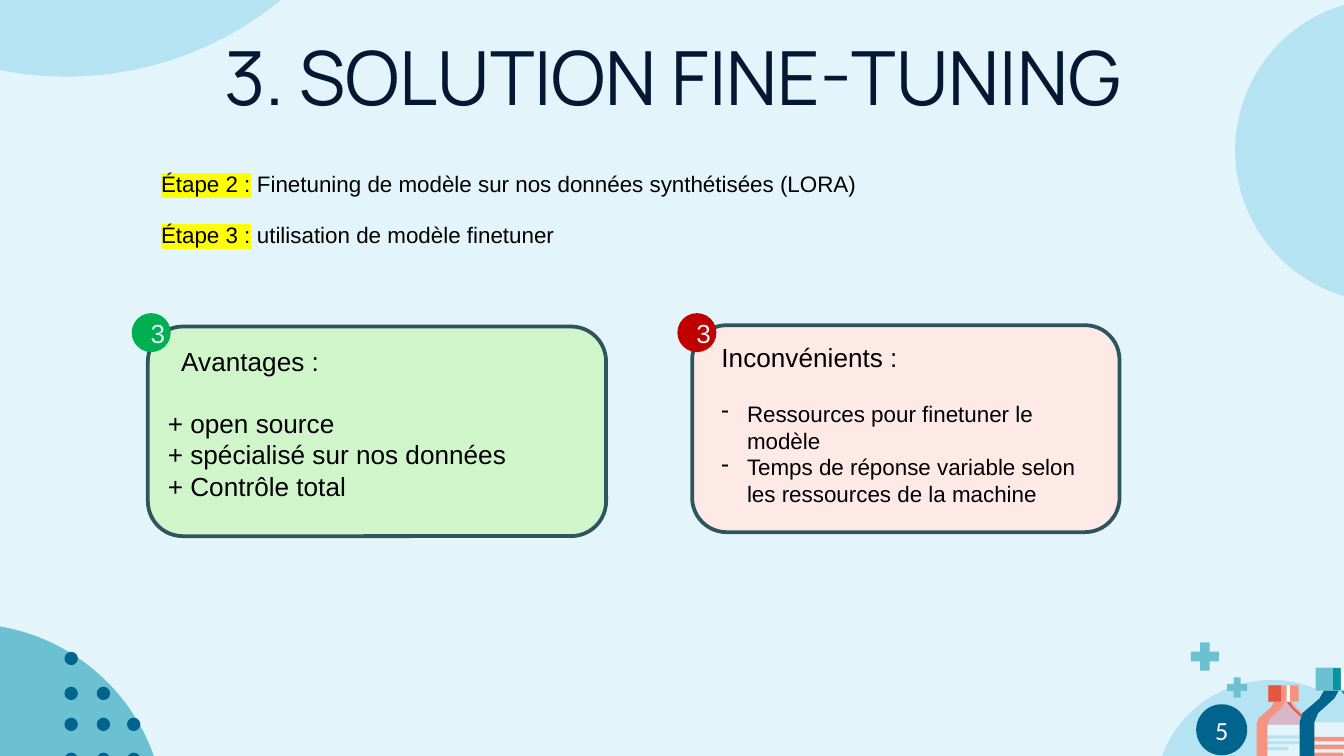
from lxml import etree
from pptx import Presentation
from pptx.dml.color import RGBColor
from pptx.enum import shapes, text
from pptx.oxml import ns
from pptx.util import Inches, Pt

# The grid has 100 columns; one cell is a tenth of an inch, also in height
CELL = Inches(0.1)
KIND = shapes.MSO_SHAPE
HUE = {
    "back": "E3F4FA", "sky": "B6E3F1", "teal": "6BC1D1", "deep": "0596A2",
    "blue": "00648F", "navy": "041834", "cream": "FCFBF7", "black": "000000",
    "white": "FFFFFF", "mauve": "D6B6C8", "coral": "F69380", "brick": "E2583E",
    "edge": "2F555C", "mint": "D0F5CB", "rose": "FDE9E6", "green": "00B050",
    "red": "C00000", "mark": "FFFF00",
}


def tint(name):
    return RGBColor.from_string(HUE[name])


def cells(*nums):
    return [round(n * CELL) for n in nums]


def within(box, x, y, w, h):
    """Turn shares of a box into grid cells."""
    left, top, wide, high = box
    return left + x * wide, top + y * high, w * wide, h * high


def paint(shape, fill, edge=None):
    shape.shadow.inherit = False
    shape.fill.solid()
    shape.fill.fore_color.rgb = tint(fill)
    if edge:
        shape.line.color.rgb = tint(edge)
        shape.line.width = Pt(2)
    else:
        shape.line.fill.background()
    return shape


def draw(slide, kind, box, fill, edge=None):
    return paint(slide.shapes.add_shape(kind, *cells(*box)), fill, edge)


def trace(slide, box, dots, fill):
    """Draw a closed outline whose points are shares of the box."""
    spots = [cells(*within(box, x, y, 0, 0)[:2]) for x, y in dots]
    pen = slide.shapes.build_freeform(*spots[0], scale=1.0)
    pen.add_line_segments(spots[1:], close=True)
    paint(pen.convert_to_shape(), fill)


def write(para, words, size, font="Arial", hue="black", mark=None):
    run = para.add_run()
    run.text = words
    run.font.size = Pt(size)
    run.font.color.rgb = tint(hue)
    if mark:
        light = etree.Element(ns.qn("a:highlight"))
        etree.SubElement(light, ns.qn("a:srgbClr"), val=HUE[mark])
        run.font._element.find(ns.qn("a:solidFill")).addnext(light)
    run.font.name = font


def label(shape, words, size, font, hue):
    frame = shape.text_frame
    frame.vertical_anchor = text.MSO_ANCHOR.MIDDLE
    para = frame.paragraphs[0]
    para.alignment = text.PP_ALIGN.CENTER
    write(para, words, size, font, hue)
    return frame


def add_text(slide, box):
    frame = slide.shapes.add_textbox(*cells(*box)).text_frame
    frame.word_wrap = True
    frame.auto_size = text.MSO_AUTO_SIZE.SHAPE_TO_FIT_TEXT
    return frame


def dash(para):
    """Give a paragraph a hanging dash."""
    props = para._p.get_or_add_pPr()
    props.set("marL", str(Inches(0.19)))
    props.set("indent", str(-Inches(0.19)))
    ink = etree.SubElement(props, ns.qn("a:buClr"))
    etree.SubElement(ink, ns.qn("a:srgbClr"), val=HUE["black"])
    etree.SubElement(props, ns.qn("a:buChar"), char="-")


def add_disc(slide, x, y, size, fill):
    return draw(slide, KIND.OVAL, (x, y, size, size), fill)


def add_back(slide):
    # Large discs that run over the slide's edges
    for x, y, size, fill in ((-17.3, 46.4, 29.6, "teal"),
                             (91.9, -0.1, 22.6, "sky"),
                             (-20.2, -44.6, 50.3, "sky")):
        add_disc(slide, x, y, size, fill)
    # Dots in stepped rows
    for y, count in ((48.5, 1), (51.1, 2), (53.4, 3), (56, 3)):
        for x in (4.8, 7.2, 9.45)[:count]:
            add_disc(slide, x, y, 1, "blue")


def add_flask(slide, box, glass, bands, right, left, cap, rim):
    # Body and shoulders
    draw(slide, KIND.RECTANGLE, within(box, 0, 0.48, 1, 0.44), "back")
    trace(slide, box, ((0.33, 0.2), (0.27, 0.27), (0.04, 0.4), (0, 0.48),
                       (1, 0.48), (0.96, 0.4), (0.75, 0.27), (0.67, 0.2)), glass)
    # Lines of the label
    for row, wide in enumerate((0.69, 0.69, 0.43)):
        draw(slide, KIND.ROUNDED_RECTANGLE,
             within(box, 0.16, 0.61 + 0.07 * row, wide, 0.04), bands)
    # Shaded sides
    trace(slide, box, ((0.56, 0.2), (0.64, 0.27), (0.85, 0.4), (0.89, 0.48),
                       (0.89, 0.92), (0.85, 0.98), (0.76, 1), (0.84, 1),
                       (0.92, 0.98), (0.96, 0.92), (0.96, 0.48), (0.91, 0.4),
                       (0.69, 0.27), (0.62, 0.2)), right)
    trace(slide, box, ((0.33, 0.2), (0.27, 0.27), (0.04, 0.4), (0, 0.48),
                       (0, 0.92), (0.04, 0.98), (0.13, 1), (0.33, 1),
                       (0.24, 0.98), (0.2, 0.92), (0.2, 0.48), (0.25, 0.4),
                       (0.47, 0.27), (0.53, 0.2)), left)
    # Cap with its shine
    for x, wide, fill in ((0.22, 0.56, cap), (0.22, 0.23, rim), (0.56, 0.06, "white")):
        draw(slide, KIND.RECTANGLE, within(box, x, 0, wide, 0.2), fill)


def add_corner(slide, box):
    left, top = box[:2]
    add_disc(slide, left, top + 2.8, 17.4, "sky")
    for x, y, size in ((5.4, 2.6, 1.5), (2.7, 0, 2.1)):
        plus = draw(slide, KIND.CROSS, (left + x, top + y, size, size), "teal")
        plus.adjustments[0] = 0.33
    add_flask(slide, (left + 7.6, top + 3.2, 4, 6.1),
              "mauve", "sky", "brick", "coral", "coral", "brick")
    add_flask(slide, (left + 10.8, top + 1.9, 5.5, 8.4),
              "sky", "coral", "deep", "blue", "deep", "teal")
    # Page number
    frame = label(add_disc(slide, left + 3.1, top + 4.6, 3.8, "blue"),
                  "5", 14, "Calibri", "cream")
    frame.margin_left = frame.margin_right = Inches(0.07)
    frame.margin_top = frame.margin_bottom = Inches(0.04)


def add_title(slide, box):
    frame = slide.shapes.add_textbox(*cells(*box)).text_frame
    frame.word_wrap = True
    frame.margin_top = frame.margin_bottom = CELL
    label(frame._parent, "3. SOLUTION FINE-TUNING", 40, "Manrope", "navy")
    frame.vertical_anchor = text.MSO_ANCHOR.BOTTOM


def add_steps(slide, box, steps):
    left, top, wide, high = box
    for row, (head, body) in enumerate(steps):
        para = add_text(slide, (left, top + 3.8 * row, wide, high)).paragraphs[0]
        write(para, head, 12, mark="mark")
        write(para, body, 12)


def add_card(slide, box, fill, pad, head, shift, gap, items, size, dashed):
    left, top, wide, high = box
    draw(slide, KIND.ROUNDED_RECTANGLE, box, fill, "edge")
    dx, dy, width, depth = pad
    frame = add_text(slide, (left + dx, top + dy, width, depth))
    para = frame.paragraphs[0]
    para.space_after = Pt(gap)
    if shift:
        para._p.get_or_add_pPr().set("indent", str(cells(shift)[0]))
    write(para, head, 14)
    for item in items:
        para = frame.add_paragraph()
        if dashed:
            dash(para)
        write(para, item, size)


def add_badge(slide, x, y, fill):
    label(add_disc(slide, x, y, 2.9, fill), "3", 14, "Arial", "back")


def main():
    deck = Presentation()
    deck.slide_width = Inches(10)
    deck.slide_height = deck.slide_width * 9 // 16
    slide = deck.slides.add_slide(deck.slide_layouts[6])
    slide.background.fill.solid()
    slide.background.fill.fore_color.rgb = tint("back")

    add_back(slide)
    add_corner(slide, (85.9, 47.8, 17.4, 20.2))
    add_title(slide, (-8.9, -2, 117.9, 12))
    add_steps(slide, (11, 12.2, 54.7, 3), (
        ("Étape 2 :", " Finetuning de modèle sur nos données synthétisées (LORA)"),
        ("Étape 3 :", " utilisation de modèle finetuner")))
    add_card(slide, (11, 24.3, 34.1, 15.6), "mint", (0.5, 0.9, 35.5, 12.8),
             "Avantages :", 1, 16.5,
             ("+ open source", "+ spécialisé sur nos données", "+ Contrôle total"),
             14, False)
    add_card(slide, (51.5, 24.2, 31.8, 15.4), "rose", (1.2, 0.7, 30.6, 13.5),
             "Inconvénients :", 0, 14.5,
             ("Ressources pour finetuner le modèle",
              "Temps de réponse variable selon les ressources de la machine"),
             12, True)
    add_badge(slide, 50.4, 23.3, "red")
    add_badge(slide, 9.8, 23.3, "green")
    deck.save("out.pptx")


if __name__ == "__main__":
    main()
